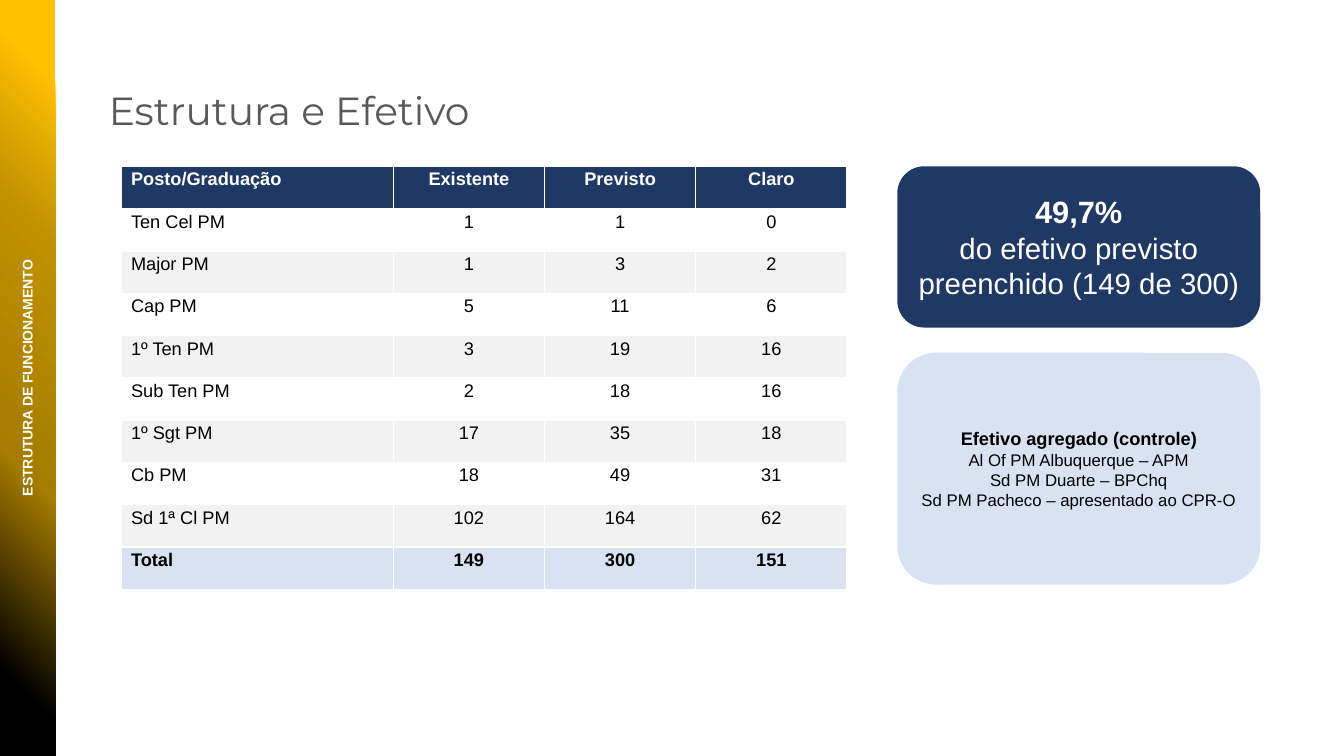
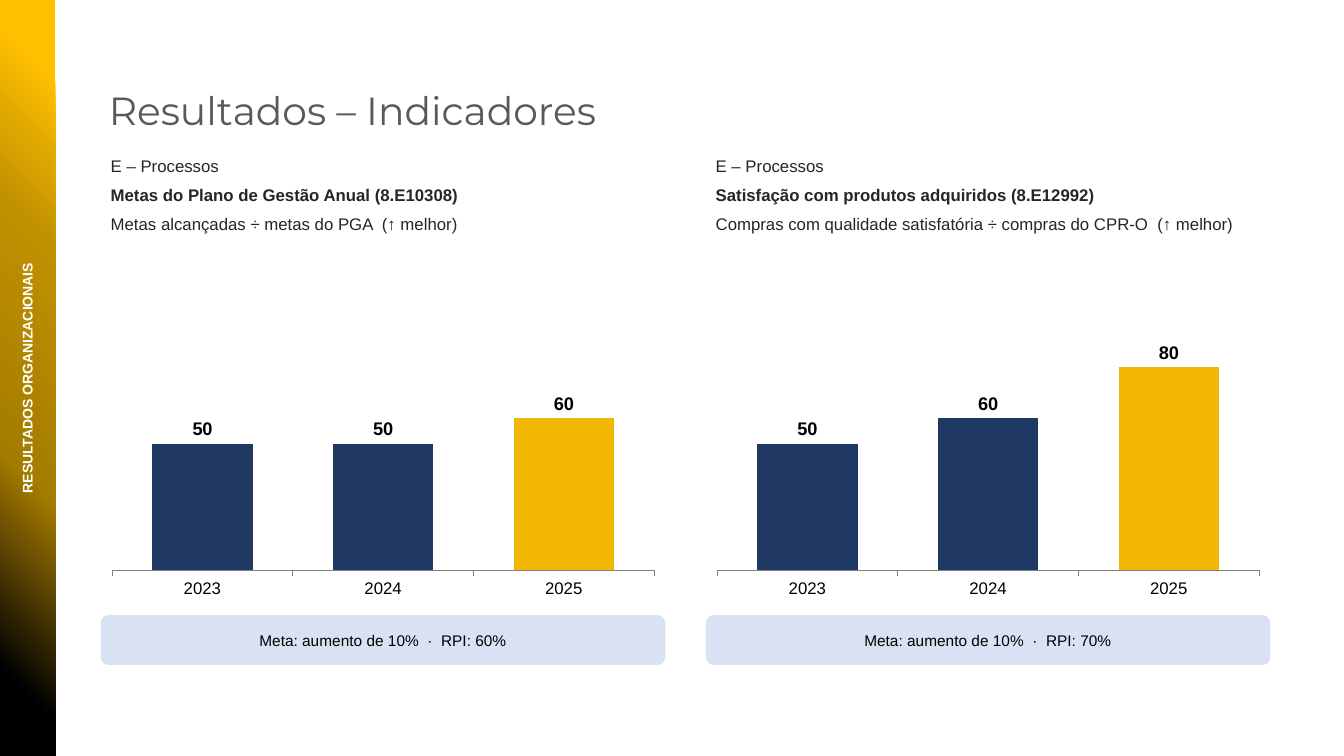
"""Builds two slides on staffing and organisational indicators."""
from lxml.etree import SubElement
from pptx import Presentation
from pptx.chart.data import CategoryChartData
from pptx.dml.color import RGBColor
from pptx.enum.chart import XL_CHART_TYPE, XL_LABEL_POSITION, XL_TICK_MARK
from pptx.enum.shapes import MSO_SHAPE
from pptx.enum.text import MSO_ANCHOR, PP_ALIGN
from pptx.oxml import parse_xml
from pptx.oxml.ns import nsdecls, qn
from pptx.util import Inches, Pt

COLORS = {
    "navy": "1F3864",
    "pale": "D9E2F3",
    "stripe": "F2F2F2",
    "white": "FFFFFF",
    "black": "000000",
    "body": "262626",
    "title": "595959",
    "axis": "808080",
    "highlight": "F2B705",
    "bronze": "A57C00",
    "ochre": "BF9000",
    "gold": "FFC000",
}
BAND_STOPS = [(0, "black"), (11, "black"), (38, "bronze"), (69, "ochre"), (90, "gold"), (100, "gold")]


def rgb(name):
    return RGBColor.from_string(COLORS[name])


def write(frame, *lines, size=12, color="black", font="Arial", bold=False,
          align=PP_ALIGN.LEFT, anchor=MSO_ANCHOR.TOP, after=0):
    """Each line is a text or a pair of text and its own size and weight."""
    frame.word_wrap = True
    frame.vertical_anchor = anchor
    for index, line in enumerate(lines):
        text, own = (line, {}) if isinstance(line, str) else line
        paragraph = frame.paragraphs[0] if index == 0 else frame.add_paragraph()
        paragraph.alignment = align
        paragraph.space_after = Pt(after)
        run = paragraph.add_run()
        run.text = text
        run.font.name = font
        run.font.size = Pt(own.get("size", size))
        run.font.bold = own.get("bold", bold)
        run.font.color.rgb = rgb(color)


def add_card(slide, left, top, width, height, fill, *lines, **text_format):
    card = slide.shapes.add_shape(MSO_SHAPE.ROUNDED_RECTANGLE, Inches(left), Inches(top),
                                  Inches(width), Inches(height))
    card.shadow.inherit = False
    card.fill.solid()
    card.fill.fore_color.rgb = rgb(fill)
    card.line.fill.background()
    write(card.text_frame, *lines, align=PP_ALIGN.CENTER, anchor=MSO_ANCHOR.MIDDLE, **text_format)


prs = Presentation()
prs.slide_width, prs.slide_height = Inches(13.33), Inches(7.5)

slides = []
for heading, section in [
    ("Estrutura e Efetivo", "ESTRUTURA DE FUNCIONAMENTO"),
    ("Resultados – Indicadores", "RESULTADOS ORGANIZACIONAIS"),
]:
    slide = prs.slides.add_slide(prs.slide_layouts[5])
    slides.append(slide)

    band = slide.shapes.add_shape(MSO_SHAPE.RECTANGLE, 0, 0, Inches(0.55), prs.slide_height)
    band.shadow.inherit = False
    band.line.fill.background()
    band.fill.background()
    gradient = parse_xml(f'<a:gradFill {nsdecls("a")} rotWithShape="1"><a:gsLst/><a:path path="circle">'
                         '<a:fillToRect t="100000" r="100000"/></a:path></a:gradFill>')
    for position, name in BAND_STOPS:
        stop = SubElement(gradient[0], qn("a:gs"), pos=str(position * 1000))
        SubElement(stop, qn("a:srgbClr"), val=COLORS[name])
    properties = band.element.spPr
    properties.replace(properties.find(qn("a:noFill")), gradient)

    title = slide.shapes.title
    title.left, title.top, title.width, title.height = (
        Inches(0.98), Inches(0.81), Inches(9.51), Inches(0.57))
    write(title.text_frame, heading, size=28, color="title", font="Montserrat")

    section_label = slide.shapes.add_textbox(Inches(-2.66), Inches(3.61), Inches(5.87), Inches(0.28))
    section_label.rotation = 270
    write(section_label.text_frame, section, size=10, color="white", bold=True, align=PP_ALIGN.CENTER)

staffing_slide, results_slide = slides

staffing = [
    ("Posto/Graduação", "Existente", "Previsto", "Claro"),
    ("Ten Cel PM", 1, 1, 0),
    ("Major PM", 1, 3, 2),
    ("Cap PM", 5, 11, 6),
    ("1º Ten PM", 3, 19, 16),
    ("Sub Ten PM", 2, 18, 16),
    ("1º Sgt PM", 17, 35, 18),
    ("Cb PM", 18, 49, 31),
    ("Sd 1ª Cl PM", 102, 164, 62),
    ("Total", 149, 300, 151),
]
last = len(staffing) - 1
staffing_table = staffing_slide.shapes.add_table(
    len(staffing), 4, Inches(1.2), Inches(1.65), Inches(7.2), Inches(4.2)).table
for column, width in zip(staffing_table.columns, (2.7, 1.5, 1.5, 1.5)):
    column.width = Inches(width)
for r, record in enumerate(staffing):
    fill = {0: "navy", last: "pale"}.get(r, "white" if r % 2 else "stripe")
    for c, entry in enumerate(record):
        cell = staffing_table.cell(r, c)
        cell.fill.solid()
        cell.fill.fore_color.rgb = rgb(fill)
        cell.margin_top = cell.margin_bottom = Inches(0.03)
        write(cell.text_frame, str(entry), size=13, bold=r in (0, last),
              color="white" if r == 0 else "black",
              align=PP_ALIGN.CENTER if c else PP_ALIGN.LEFT)

add_card(staffing_slide, 8.9, 1.65, 3.6, 1.6, "navy",
         ("49,7%", {"size": 22, "bold": True}),
         "do efetivo previsto preenchido (149 de 300)", size=21, color="white")
add_card(staffing_slide, 8.9, 3.5, 3.6, 2.3, "pale",
         ("Efetivo agregado (controle)", {"size": 13, "bold": True}),
         "Al Of PM Albuquerque – APM", "Sd PM Duarte – BPChq",
         "Sd PM Pacheco – apresentado ao CPR-O")

for left, indicator, formula, results, target in [
    (1, "Metas do Plano de Gestão Anual (8.E10308)",
     "Metas alcançadas ÷ metas do PGA  (↑ melhor)", (50, 50, 60),
     "Meta: aumento de 10%  ·  RPI: 60%"),
    (7, "Satisfação com produtos adquiridos (8.E12992)",
     "Compras com qualidade satisfatória ÷ compras do CPR-O  (↑ melhor)", (50, 60, 80),
     "Meta: aumento de 10%  ·  RPI: 70%"),
]:
    description = results_slide.shapes.add_textbox(Inches(left), Inches(1.5), Inches(5.6), Inches(1.1))
    write(description.text_frame, "E – Processos", (indicator, {"bold": True}), formula,
          color="body", after=6)

    yearly = CategoryChartData(number_format="0")
    yearly.categories = ["2023", "2024", "2025"]
    yearly.add_series("Series 1", results)
    chart = results_slide.shapes.add_chart(
        XL_CHART_TYPE.COLUMN_CLUSTERED, Inches(left), Inches(2.7), Inches(5.6), Inches(3.3), yearly).chart
    chart.has_title = chart.has_legend = False
    chart.font.name = "Arial"
    chart.font.size = Pt(18)
    chart.font.color.rgb = rgb("black")

    years = chart.category_axis
    years.major_tick_mark = XL_TICK_MARK.OUTSIDE
    years.tick_labels.font.size = Pt(12)
    years.format.line.color.rgb = rgb("axis")
    scale = chart.value_axis
    scale.minimum_scale, scale.maximum_scale = 0, 115
    scale.has_major_gridlines = False
    scale.visible = False

    plot = chart.plots[0]
    plot.gap_width = 80
    plot.vary_by_categories = False
    columns = plot.series[0]
    for fill, name in [(columns.format.fill, "navy"), (columns.points[2].format.fill, "highlight")]:
        fill.solid()
        fill.fore_color.rgb = rgb(name)
    labels = columns.data_labels
    labels.show_value = True
    labels.position = XL_LABEL_POSITION.OUTSIDE_END
    labels.number_format = "0"
    labels.number_format_is_linked = False
    labels.font.size = Pt(13)
    labels.font.bold = True

    add_card(results_slide, left, 6.1, 5.6, 0.5, "pale", target, size=11)

prs.save("out.pptx")
